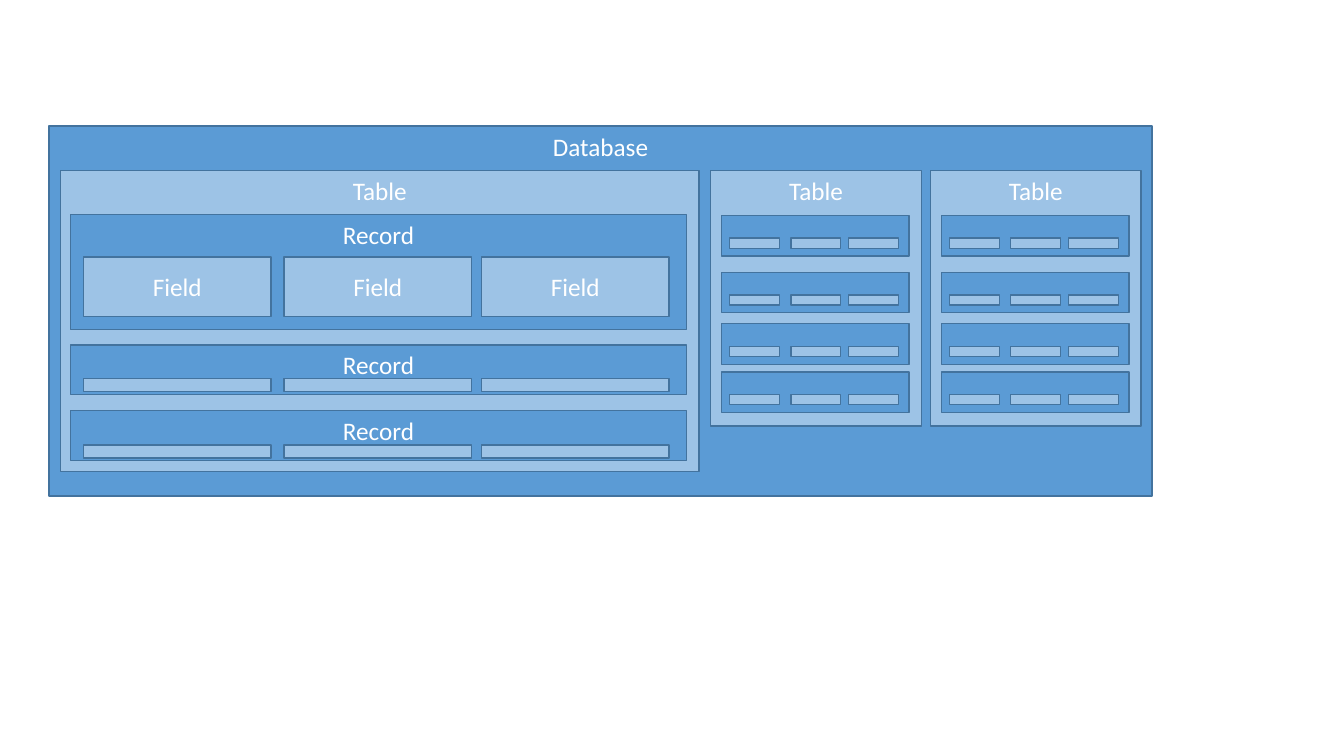
import dataclasses

import pptx
import pptx.dml.color
import pptx.enum.shapes
import pptx.enum.text
import pptx.util

Cm = pptx.util.Cm
Pt = pptx.util.Pt
RGB = pptx.dml.color.RGBColor
ANCHOR = pptx.enum.text.MSO_ANCHOR


@dataclasses.dataclass(frozen=True)
class Theme:
    """Colours, font and sizes shared by all boxes."""
    dark: RGB = RGB(0x5B, 0x9B, 0xD5)
    light: RGB = RGB(0x9D, 0xC3, 0xE6)
    line: RGB = RGB(0x43, 0x73, 0x9E)
    text: RGB = RGB(0xFF, 0xFF, 0xFF)
    font: str = "Calibri"
    size: Pt = Pt(18)
    line_width: Pt = Pt(1)


THEME = Theme()


def add_text(sp, text, size=THEME.size, color=THEME.text, anchor=ANCHOR.TOP):
    """Write one centred line of text into a shape."""
    tf = sp.text_frame
    tf.word_wrap = True
    tf.vertical_anchor = anchor
    p = tf.paragraphs[0]
    p.alignment = pptx.enum.text.PP_ALIGN.CENTER
    r = p.add_run()
    r.text = text
    r.font.name = THEME.font
    r.font.size = size
    r.font.color.rgb = color


def add_box(s, left, top, width, height, fill, text="", **text_format):
    """Draw an outlined rectangle, measured in centimetres."""
    sp = s.shapes.add_shape(pptx.enum.shapes.MSO_SHAPE.RECTANGLE,
                            Cm(left), Cm(top), Cm(width), Cm(height))
    sp.shadow.inherit = False
    sp.fill.solid()
    sp.fill.fore_color.rgb = fill
    sp.line.color.rgb = THEME.line
    sp.line.width = THEME.line_width
    if text:
        add_text(sp, text, **text_format)


def add_record(s, left, top, width, height, fields, text="", field_text=""):
    """Draw a record and its fields; fields holds x offsets, y offset, width, height."""
    add_box(s, left, top, width, height, THEME.dark, text)
    offsets, dy, field_width, field_height = fields
    for dx in offsets:
        add_box(s, left + dx, top + dy, field_width, field_height,
                THEME.light, field_text, anchor=ANCHOR.MIDDLE)


def add_detailed_table(s, left, top, width, height):
    """Draw the table whose records and fields are labelled."""
    add_box(s, left, top, width, height, THEME.light, "Table")
    offsets = (0.33, 5.38, 10.36)
    rows = ((1.12, 2.9, 1.07, 1.5, "Field"),
            (4.4, 1.26, 0.85, 0.33, ""),
            (6.05, 1.26, 0.87, 0.33, ""))
    for dy, record_height, field_dy, field_height, field_text in rows:
        add_record(s, left + 0.26, top + dy, width - 0.58, record_height,
                   (offsets, field_dy, 4.72, field_height), "Record", field_text)


def add_compact_table(s, left, top, width, height):
    """Draw a table with four unlabelled records."""
    add_box(s, left, top, width, height, THEME.light, "Table")
    for dy in (1.14, 2.57, 3.87, 5.08):
        add_record(s, left + 0.28, top + dy, width - 0.59, 1.02,
                   ((0.2, 1.74, 3.2), 0.57, 1.26, 0.26))


def add_database(s, left, top, width, height):
    """Draw the database with one detailed and two compact tables."""
    add_box(s, left, top, width, height, THEME.dark, "Database")
    table_top = top + 1.11
    add_detailed_table(s, left + 0.28, table_top, 16.1, 7.59)
    for i in range(2):
        add_compact_table(s, left + 16.67 + i * 5.54, table_top, 5.31, 6.45)


def main():
    """Build and save the slide."""
    prs = pptx.Presentation()
    prs.slide_width = Cm(33.87)
    prs.slide_height = Cm(19.05)
    s = prs.slides.add_slide(prs.slide_layouts[6])
    add_database(s, 1.24, 3.18, 27.79, 9.32)
    prs.save("out.pptx")


if __name__ == "__main__":
    main()
